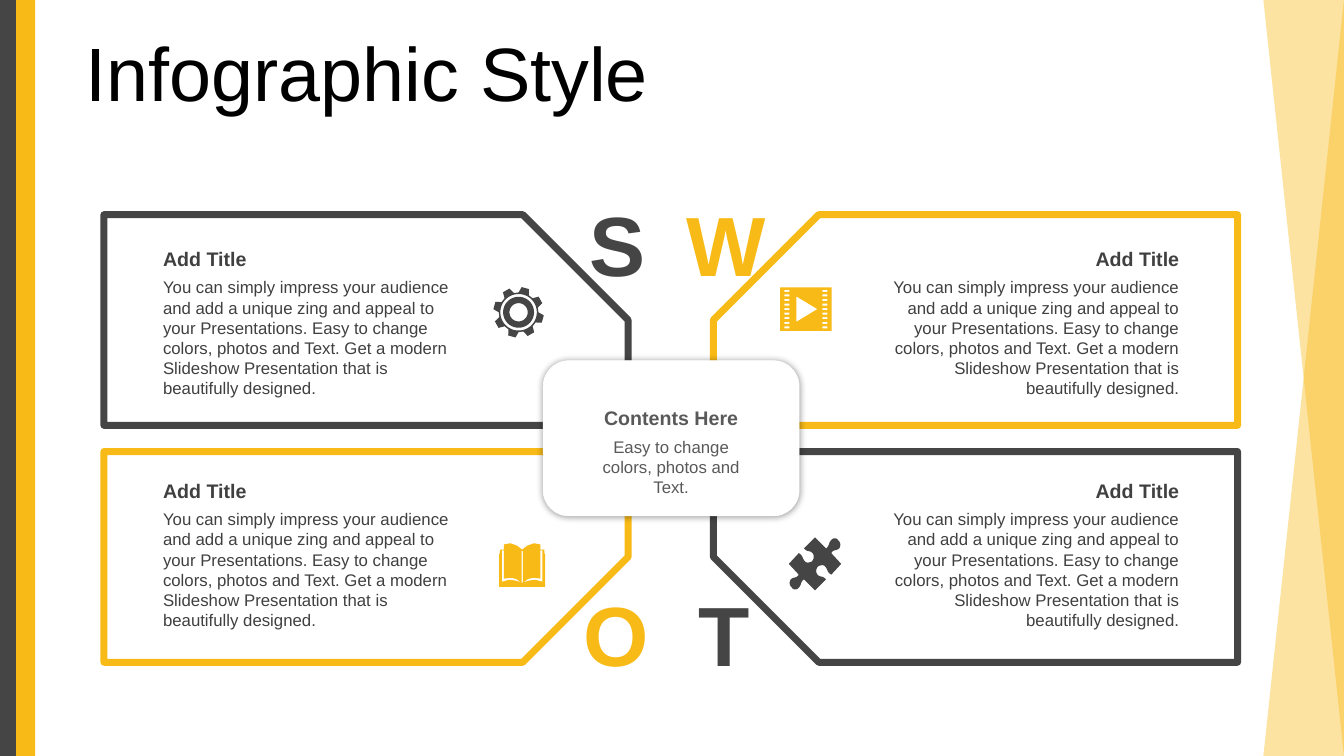
from dataclasses import dataclass
from math import cos, radians, sin

from lxml import etree
from pptx import Presentation
from pptx.dml.color import RGBColor
from pptx.enum.shapes import MSO_SHAPE
from pptx.enum.text import MSO_ANCHOR, PP_ALIGN
from pptx.oxml.ns import qn
from pptx.util import Cm, Pt

RECT, TRIANGLE = MSO_SHAPE.RECTANGLE, MSO_SHAPE.RIGHT_TRIANGLE
SNIPPED, ROUNDED = MSO_SHAPE.SNIP_1_RECTANGLE, MSO_SHAPE.ROUNDED_RECTANGLE
LEFT, CENTER, RIGHT = PP_ALIGN.LEFT, PP_ALIGN.CENTER, PP_ALIGN.RIGHT
TOP, MIDDLE = MSO_ANCHOR.TOP, MSO_ANCHOR.MIDDLE
DARK, YELLOW, WHITE, BLACK = "454545", "F8BA16", "FFFFFF", "000000"
TEXT, HUB_TEXT = "404040", "595959"
WIDTH, HEIGHT = 33.87, 19.05
PANEL_W, PANEL_H = 13.21, 5.31
BODY = ("You can simply impress your audience and add a unique zing and appeal to "
        "your Presentations. Easy to change colors, photos and Text. Get a modern "
        "Slideshow Presentation that is beautifully designed.")

Point = tuple[float, float]
Contour = list[Point]


@dataclass
class Panel:
    letter: str
    color: str
    x: float
    y: float
    flip: str
    letter_x: float
    letter_y: float
    text_x: float
    text_y: float
    align: PP_ALIGN


@dataclass
class Icon:
    x: float
    y: float
    color: str
    contours: list[Contour]


PANELS = [
    Panel("S", DARK, 2.62, 5.41, "", 14.2, 4.7, 3.86, 6.1, LEFT),
    Panel("W", YELLOW, 17.98, 5.41, "H", 16.92, 4.72, 21.82, 6.1, RIGHT),
    Panel("O", YELLOW, 2.62, 11.38, "V", 14.17, 14.53, 3.86, 11.94, LEFT),
    Panel("T", DARK, 17.98, 11.38, "HV", 16.89, 14.53, 21.82, 11.94, RIGHT),
]


def rgb(color: str) -> RGBColor:
    return RGBColor.from_string(color)


def paint(sp, fill: str, line: str = "", line_pt: float = 0) -> None:
    sp.shadow.inherit = False
    sp.fill.solid()
    sp.fill.fore_color.rgb = rgb(fill)
    if line:
        sp.line.color.rgb = rgb(line)
        sp.line.width = Pt(line_pt)
    else:
        sp.line.fill.background()


def add_box(s, kind: MSO_SHAPE, x: float, y: float, w: float, h: float, fill: str,
            line: str = "", line_pt: float = 0, flip: str = ""):
    sp = s.shapes.add_shape(kind, Cm(x), Cm(y), Cm(w), Cm(h))
    paint(sp, fill, line, line_pt)
    for axis in flip:
        sp.element.spPr.xfrm.set(f"flip{axis}", "1")
    return sp


def set_alpha(color, percent: int) -> None:
    etree.SubElement(color, qn("a:alpha")).set("val", str(percent * 1000))


def add_glow(sp, blur_pt: float, percent: int) -> None:
    effects = sp.element.spPr.find(qn("a:effectLst"))
    shadow = etree.SubElement(effects, qn("a:outerShdw"), blurRad=str(Pt(blur_pt)),
                              dist="0", dir="0", algn="ctr", rotWithShape="0")
    color = etree.SubElement(shadow, qn("a:srgbClr"), val=BLACK)
    set_alpha(color, percent)


def add_text(s, text: str, x: float, y: float, w: float, h: float, size: float,
             color: str, bold: bool = False, align: PP_ALIGN = LEFT,
             anchor: MSO_ANCHOR = TOP):
    tf = s.shapes.add_textbox(Cm(x), Cm(y), Cm(w), Cm(h)).text_frame
    tf.word_wrap = True
    tf.vertical_anchor = anchor
    p = tf.paragraphs[0]
    p.text = text
    p.alignment = align
    p.font.name = "Arial"
    p.font.size = Pt(size)
    p.font.bold = bold
    p.font.color.rgb = rgb(color)
    return p


def polar(radius: float, degrees: float) -> Point:
    return radius * cos(radians(degrees)), radius * sin(radians(degrees))


def rect(x: float, y: float, w: float, h: float) -> Contour:
    return [(x + i * w / 2, y + j * h / 2) for i, j in ((-1, -1), (1, -1), (1, 1), (-1, 1))]


def mirror(points: Contour) -> Contour:
    return [(-x, y) for x, y in reversed(points)]


def trace(start: Point, moves: list[tuple[float, ...]], steps: int = 8) -> Contour:
    points = [start]
    for move in moves:
        if len(move) == 2:
            points.append(move)
            continue
        knots = [points[-1], move[:2], move[2:4], move[4:]]
        for i in range(1, steps + 1):
            t = i / steps
            weights = ((1 - t) ** 3, 3 * t * (1 - t) ** 2, 3 * t * t * (1 - t), t ** 3)
            points.append(tuple(sum(k * q[axis] for k, q in zip(weights, knots))
                                for axis in (0, 1)))
    return points


def gear() -> list[Contour]:
    profile = ((0.5, 0), (0.64, 7), (0.64, 24), (0.5, 31))
    teeth = [polar(r, 45 * tooth - 90 + a) for tooth in range(8) for r, a in profile]
    rings = [[polar(r, 6 * i) for i in range(60)] for r in (0.46, 0.39, 0.23)]
    return [teeth, *rings]


def film() -> list[Contour]:
    holes = [rect(x, (row - 4) * 0.92 / 8, 0.13, 0.05) for x in (-0.48, 0.48) for row in range(9)]
    return [rect(0, 0, 1.3, 1.1), [(-0.24, -0.32), (-0.24, 0.32), (0.29, 0)], *holes]


def book() -> list[Contour]:
    cover = [(0, -0.39), (-0.13, -0.49), (-0.3, -0.55), (-0.46, -0.52), (-0.46, -0.39),
             (-0.56, -0.39), (-0.56, -0.29), (-0.58, -0.29), (-0.58, 0.55)]
    gap = [(-0.46, -0.37), (-0.51, -0.37), (-0.51, 0.42), (-0.33, 0.37), (-0.17, 0.39),
           (-0.02, 0.44), (-0.15, 0.35), (-0.28, 0.32), (-0.46, 0.34)]
    return [cover + mirror(cover), gap, mirror(gap), rect(0, 0.04, 0.03, 0.8)]


def puzzle() -> list[Contour]:
    half = trace((0.58, -0.6), [
        (0.64, -0.55, 0.66, -0.47, 0.61, -0.39), (0.53, -0.32, 0.46, -0.37, 0.41, -0.27),
        (0.66, 0), (0.41, 0.27),
        (0.3, 0.22, 0.33, 0.14, 0.25, 0.06), (0.2, 0.01, 0.13, 0.04, 0.08, 0.06),
        (0.03, 0.11, 0, 0.22, 0.08, 0.29), (0.15, 0.34, 0.18, 0.29, 0.28, 0.39),
        (0, 0.67), (-0.28, 0.39),
        (-0.38, 0.47, -0.33, 0.52, -0.41, 0.6), (-0.46, 0.67, -0.56, 0.65, -0.58, 0.6)])
    return [half + [(-x, -y) for x, y in half]]


def add_icon(s, icon: Icon) -> None:
    outlines = [[(Cm(icon.x + x), Cm(icon.y + y)) for x, y in c] for c in icon.contours]
    builder = s.shapes.build_freeform(*outlines[0][0])
    builder.add_line_segments(outlines[0][1:])
    for outline in outlines[1:]:
        builder.move_to(*outline[0])
        builder.add_line_segments(outline[1:])
    paint(builder.convert_to_shape(), icon.color)


def main() -> None:
    prs = Presentation()
    prs.slide_width, prs.slide_height = Cm(WIDTH), Cm(HEIGHT)
    s = prs.slides.add_slide(prs.slide_layouts[6])

    for x, color in ((0, DARK), (0.41, YELLOW)):
        add_box(s, RECT, x, 0, 0.48, HEIGHT, color)
    for flip in ("HV", "H"):
        sp = add_box(s, TRIANGLE, 31.84, 0, 2.03, HEIGHT, YELLOW, flip=flip)
        set_alpha(sp.element.spPr.find(qn("a:solidFill"))[0], 40)
    title = add_text(s, "Infographic Style", 1.9, 0.94, 31.14, 2.01, 54, BLACK, anchor=MIDDLE)
    title.line_spacing = 0.9

    for panel in PANELS:
        sp = add_box(s, SNIPPED, panel.x, panel.y, PANEL_W, PANEL_H, WHITE,
                     panel.color, 5, panel.flip)
        sp.adjustments[0] = 0.5
    add_glow(add_box(s, ROUNDED, 13.69, 9.09, 6.45, 3.91, WHITE, WHITE, 0.5), 5, 40)
    add_text(s, "Contents Here", 14.58, 10.11, 4.67, 0.71, 14, HUB_TEXT, True, CENTER)
    add_text(s, "Easy to change colors, photos and Text.", 14.58, 10.87, 4.67, 1.09,
             12, HUB_TEXT, align=CENTER)

    for panel in PANELS:
        add_text(s, panel.letter, panel.letter_x, panel.letter_y, 2.74, 2.82, 60,
                 panel.color, True, CENTER, MIDDLE)
        add_text(s, "Add Title", panel.text_x, panel.text_y, 8.15, 0.86, 14, TEXT,
                 True, panel.align)
        add_text(s, BODY, panel.text_x, panel.text_y + 0.76, 8.15, 3.33, 12, TEXT,
                 align=panel.align)

    for icon in (Icon(13.07, 7.87, DARK, gear()), Icon(20.31, 7.79, YELLOW, film()),
                 Icon(13.16, 14.24, YELLOW, book()), Icon(20.54, 14.21, DARK, puzzle())):
        add_icon(s, icon)

    prs.save("out.pptx")


if __name__ == "__main__":
    main()
